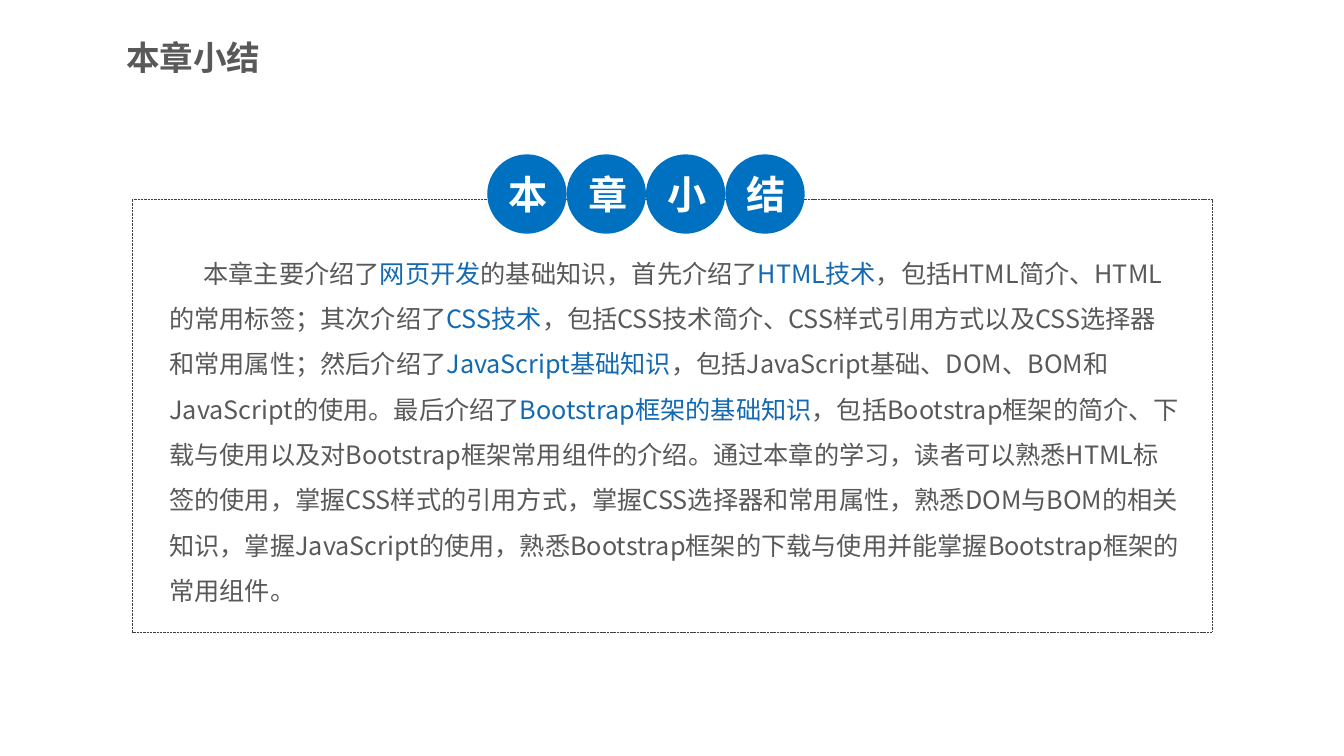
from dataclasses import dataclass

from lxml.etree import SubElement
from pptx import Presentation
from pptx.dml.color import RGBColor
from pptx.enum.dml import MSO_LINE as Dash
from pptx.enum.shapes import MSO_SHAPE as Shape
from pptx.enum.text import MSO_ANCHOR as Anchor, PP_ALIGN as Align
from pptx.oxml.ns import qn
from pptx.util import Cm, Pt


@dataclass(frozen=True)
class Theme:
    font: str = "Noto Sans CJK SC"
    text: str = "595959"
    accent: str = "1369B2"
    badge: str = "0070C0"
    badge_text: str = "FFFFFF"
    frame: str = "404040"
    title_size: int = 24
    badge_size: int = 28
    body_size: int = 18


@dataclass(frozen=True)
class Box:
    left: float
    top: float
    width: float
    height: float

    def lengths(self):
        return Cm(self.left), Cm(self.top), Cm(self.width), Cm(self.height)


THEME = Theme()
HEADING = "本章小结"
SUMMARY = (
    "本章主要介绍了*网页开发*的基础知识，首先介绍了*HTML技术*，包括HTML简介、"
    "HTML的常用标签；其次介绍了*CSS技术*，包括CSS技术简介、CSS样式引用方式以及"
    "CSS选择器和常用属性；然后介绍了*JavaScript基础知识*，包括JavaScript基础、"
    "DOM、BOM和JavaScript的使用。最后介绍了*Bootstrap框架的基础知识*，包括"
    "Bootstrap框架的简介、下载与使用以及对Bootstrap框架常用组件的介绍。通过本章的学"
    "习，读者可以熟悉HTML标签的使用，掌握CSS样式的引用方式，掌握CSS选择器和常用"
    "属性，熟悉DOM与BOM的相关知识，掌握JavaScript的使用，熟悉Bootstrap框架的下"
    "载与使用并能掌握Bootstrap框架的常用组件。"
)


def write_text(shape, text, *, size, color, accent=None, bold=False, align=Align.LEFT,
               anchor=Anchor.TOP, margins=(0, 0, 0), spacing=1.0, indent=0):
    frame = shape.text_frame
    frame.word_wrap = True
    frame.vertical_anchor = anchor
    left, right, edge = margins
    frame.margin_left, frame.margin_right = Cm(left), Cm(right)
    frame.margin_top = frame.margin_bottom = Cm(edge)
    para = frame.paragraphs[0]
    para.alignment = align
    para.line_spacing = spacing
    properties = para._p.get_or_add_pPr()
    properties.set("indent", str(Cm(indent)))
    properties.set("hangingPunct", "0")
    for number, part in enumerate(text.split("*")):
        span = para.add_run()
        span.text = part
        span.font.size = Pt(size)
        span.font.bold = bold
        span.font.color.rgb = RGBColor.from_string(accent if number % 2 else color)
        span.font.name = THEME.font
        SubElement(span._r.get_or_add_rPr(), qn("a:ea"), typeface=THEME.font)


def add_title(page, box):
    title = page.shapes.add_textbox(*box.lengths())
    write_text(title, HEADING, size=THEME.title_size, color=THEME.text, bold=True,
               anchor=Anchor.MIDDLE, margins=(0, 0, 0.18))


def add_frame(page, box):
    frame = page.shapes.add_shape(Shape.ROUNDED_RECTANGLE, *box.lengths())
    frame.adjustments[0] = 0
    frame.shadow.inherit = False
    frame.fill.background()
    frame.line.color.rgb = RGBColor.from_string(THEME.frame)
    frame.line.width = Pt(0.25)
    frame.line.dash_style = Dash.SQUARE_DOT


def add_badges(page, box):
    pitch = box.width / len(HEADING)
    for number, letter in enumerate(HEADING):
        place = Box(box.left + number * pitch, box.top, pitch, box.height)
        badge = page.shapes.add_shape(Shape.OVAL, *place.lengths())
        badge.shadow.inherit = False
        badge.fill.solid()
        badge.fill.fore_color.rgb = RGBColor.from_string(THEME.badge)
        badge.line.fill.background()
        write_text(badge, letter, size=THEME.badge_size, color=THEME.badge_text, bold=True,
                   align=Align.CENTER, anchor=Anchor.MIDDLE, margins=(0.25, 0.25, 0.13))


def add_body(page, box):
    body = page.shapes.add_textbox(*box.lengths())
    write_text(body, SUMMARY, size=THEME.body_size, color=THEME.text, accent=THEME.accent,
               margins=(0.33, 0.6, 0.18), spacing=1.5, indent=0.86)


def add_summary(page, box):
    add_frame(page, box)
    add_badges(page, Box(box.left + 8.95, box.top - 1.14, 8, 2))
    add_body(page, Box(box.left + 0.61, box.top + 0.91, box.width - 0.83, box.height - 1.32))


def main():
    deck = Presentation()
    deck.slide_width, deck.slide_height = Cm(33.87), Cm(19.05)
    page = deck.slides.add_slide(deck.slide_layouts[6])
    add_title(page, Box(3.18, 0.74, 10.82, 1.4))
    add_summary(page, Box(3.33, 5.03, 27.22, 10.9))
    deck.save("out.pptx")


if __name__ == "__main__":
    main()
